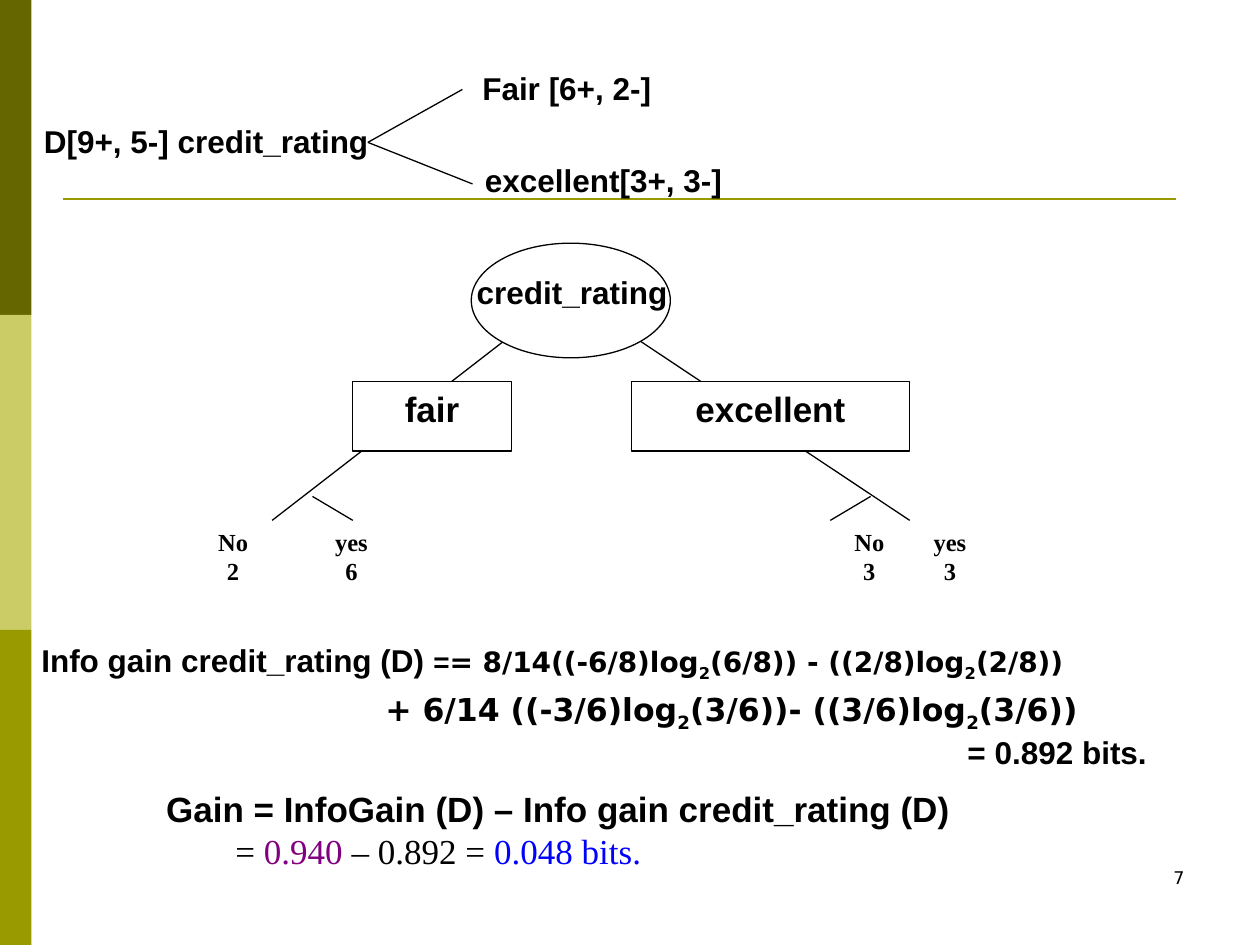
from dataclasses import dataclass

from lxml.etree import SubElement
from pptx import Presentation
from pptx.dml.color import RGBColor
from pptx.enum.shapes import MSO_CONNECTOR as Connector, MSO_SHAPE as Shape
from pptx.enum.text import MSO_ANCHOR as Anchor, MSO_AUTO_SIZE as AutoSize, PP_ALIGN as Align
from pptx.oxml.ns import qn
from pptx.util import Inches, Pt

COLUMNS, ROWS, CELL = 100, 75, 0.1  # slide grid; cell side in inches


@dataclass(frozen=True)
class Theme:
    black: str = "000000"
    white: str = "FFFFFF"
    purple: str = "800080"
    blue: str = "0000FF"
    rule: str = "999900"
    bands: tuple = ("666600", "CCCC66", "999900")
    sans: str = "Arial"
    serif: str = "Times New Roman"
    formula: str = "DejaVu Sans"
    tiny: int = 10
    leaf: int = 14
    small: int = 16
    body: int = 18
    large: int = 20
    thin: float = 0.75
    thick: float = 1.5


THEME = Theme()


@dataclass(frozen=True)
class Box:
    """A region of the slide, in grid columns and rows."""
    left: float
    top: float
    width: float
    height: float

    def area(self, left, top, width, height):
        return Box(self.left + left, self.top + top, width, height)

    def point(self, column, row):
        return grid(self.left + column), grid(self.top + row)

    def frame(self):
        return [grid(value) for value in (self.left, self.top, self.width, self.height)]


def grid(cells):
    return Inches(cells * CELL)


def add_line(slide, box, start, end, color=THEME.black, width=THEME.thin):
    line = slide.shapes.add_connector(
        Connector.STRAIGHT, *box.point(*start), *box.point(*end))
    line.line.color.rgb = RGBColor.from_string(color)
    line.line.width = Pt(width)
    SubElement(line._element.spPr, qn("a:effectLst"))


def add_shape(slide, box, kind, fill, outline=None):
    shape = slide.shapes.add_shape(kind, *box.frame())
    shape.shadow.inherit = False
    shape.fill.solid()
    shape.fill.fore_color.rgb = RGBColor.from_string(fill)
    if outline:
        shape.line.color.rgb = RGBColor.from_string(outline)
        shape.line.width = Pt(THEME.thin)
    else:
        shape.line.fill.background()
    return shape


def add_run(paragraph, text, size=THEME.body, font=THEME.sans, color=THEME.black,
            bold=True, subscript=False):
    run = paragraph.add_run()
    run.text = text
    run.font.size = Pt(size)
    run.font.name = font
    run.font.bold = bold
    run.font.color.rgb = RGBColor.from_string(color)
    if subscript:
        run._r.get_or_add_rPr().set("baseline", "-25000")


def add_formula(paragraph, text, size):
    """Add text in which each ₂ marks a lowered 2."""
    for index, piece in enumerate(text.split("₂")):
        if index:
            add_run(paragraph, "2", size, THEME.formula, subscript=True)
        add_run(paragraph, piece, size, THEME.formula)


def indent(paragraph, cells):
    properties = paragraph._p.get_or_add_pPr()
    properties.set("marL", str(grid(cells)))
    properties.set("indent", "0")


def add_text_box(slide, box, wrap=True):
    frame = slide.shapes.add_textbox(*box.frame()).text_frame
    frame.word_wrap = wrap
    if not wrap:
        frame.auto_size = AutoSize.SHAPE_TO_FIT_TEXT
    return frame


def add_label(slide, box, lines, align=Align.LEFT, wrap=True, **style):
    fill_label(add_text_box(slide, box, wrap), lines, align, **style)


def fill_label(frame, lines, align, **style):
    for index, text in enumerate(lines):
        paragraph = frame.add_paragraph() if index else frame.paragraphs[0]
        paragraph.alignment = align
        add_run(paragraph, text, **style)


def draw_decoration(slide, box):
    band_height = box.height / len(THEME.bands)
    for index, color in enumerate(THEME.bands):
        add_shape(slide, box.area(0, index * band_height, 2.5, band_height),
                  Shape.RECTANGLE, color)
    add_line(slide, box, (5, 15.8), (93.3, 15.8), THEME.rule, THEME.thick)
    add_label(slide, box.area(71.7, 68.3, 23.3, 5), ["7"], Align.RIGHT,
              size=THEME.tiny, font=THEME.formula, bold=False)


def draw_split(slide, box):
    fork = (26.7, 6.3)
    for tip in ((34.2, 2.1), (35, 9.6)):
        add_line(slide, box, fork, tip)
    for text, left, top, width in (("D[9+, 5-] credit_rating", 0, 4.2, 28),
                                   ("Fair [6+, 2-]", 34.8, 0, 15.6),
                                   ("excellent[3+, 3-]", 35, 7.3, 21)):
        add_label(slide, box.area(left, top, width, 4), [text], wrap=False)


def draw_tree(slide, box):
    leaf_top = 22
    for start, end in (((37.9, 7.3), (60, leaf_top)), ((28.4, 7.3), (9.4, leaf_top)),
                       ((12.6, 20.1), (15.8, leaf_top)), ((56.9, 20.1), (53.7, leaf_top))):
        add_line(slide, box, start, end)

    add_shape(slide, box.area(25.2, 0, 15.8, 9.1), Shape.OVAL, THEME.white, THEME.black)
    add_label(slide, box.area(22.1, 1.9, 22.2, 7.3), ["credit_rating"], Align.CENTER)

    for text, left, width in (("fair", 15.8, 12.6), ("excellent", 37.9, 22.1)):
        node = add_shape(slide, box.area(left, 11, width, 5.5),
                         Shape.RECTANGLE, THEME.white, THEME.black)
        node.text_frame.vertical_anchor = Anchor.TOP
        fill_label(node.text_frame, [text], Align.CENTER, size=THEME.large)

    for answer, count, left in (("No", "2", 0), ("yes", "6", 9.4),
                                ("No", "3", 50.5), ("yes", "3", 56.9)):
        add_label(slide, box.area(left, leaf_top, 12.6, 7.3), [answer, count],
                  Align.CENTER, size=THEME.leaf, font=THEME.serif)


def write_information(slide, box):
    frame = add_text_box(slide, box)
    first, second, result = frame.paragraphs[0], frame.add_paragraph(), frame.add_paragraph()
    first.space_before = second.space_before = Pt(4)
    add_run(first, "Info gain credit_rating (D) ")
    add_run(first, "=", THEME.small)
    add_formula(first, "= 8/14((-6/8)log₂(6/8)) - ((2/8)log₂(2/8))", THEME.small)
    indent(second, 27.3)
    add_formula(second, "+ 6/14 ((-3/6)log₂(3/6))- ((3/6)log₂(3/6))", THEME.body)
    indent(result, 73.5)
    add_run(result, "= 0.892 bits.")


def write_gain(slide, box):
    frame = add_text_box(slide, box)
    add_run(frame.paragraphs[0], "Gain = InfoGain (D) – Info gain credit_rating (D)", THEME.large)
    result = frame.add_paragraph()
    indent(result, 5.5)
    for text, color in (("= ", THEME.black), ("0.940", THEME.purple),
                        (" – 0.892 =", THEME.black), (" 0.048 bits.", THEME.blue)):
        add_run(result, text, THEME.large, THEME.serif, color, bold=False)


def main():
    presentation = Presentation()
    presentation.slide_width, presentation.slide_height = grid(COLUMNS), grid(ROWS)
    slide = presentation.slides.add_slide(presentation.slide_layouts[6])
    draw_decoration(slide, Box(0, 0, COLUMNS, ROWS))
    draw_split(slide, Box(2.5, 5, 56, 11.3))
    write_information(slide, Box(2.3, 50.4, 97.7, 10.7))
    write_gain(slide, Box(12.2, 62, 77, 7.7))
    draw_tree(slide, Box(12.2, 19.3, 69.6, 29.3))
    presentation.save("out.pptx")


if __name__ == "__main__":
    main()
